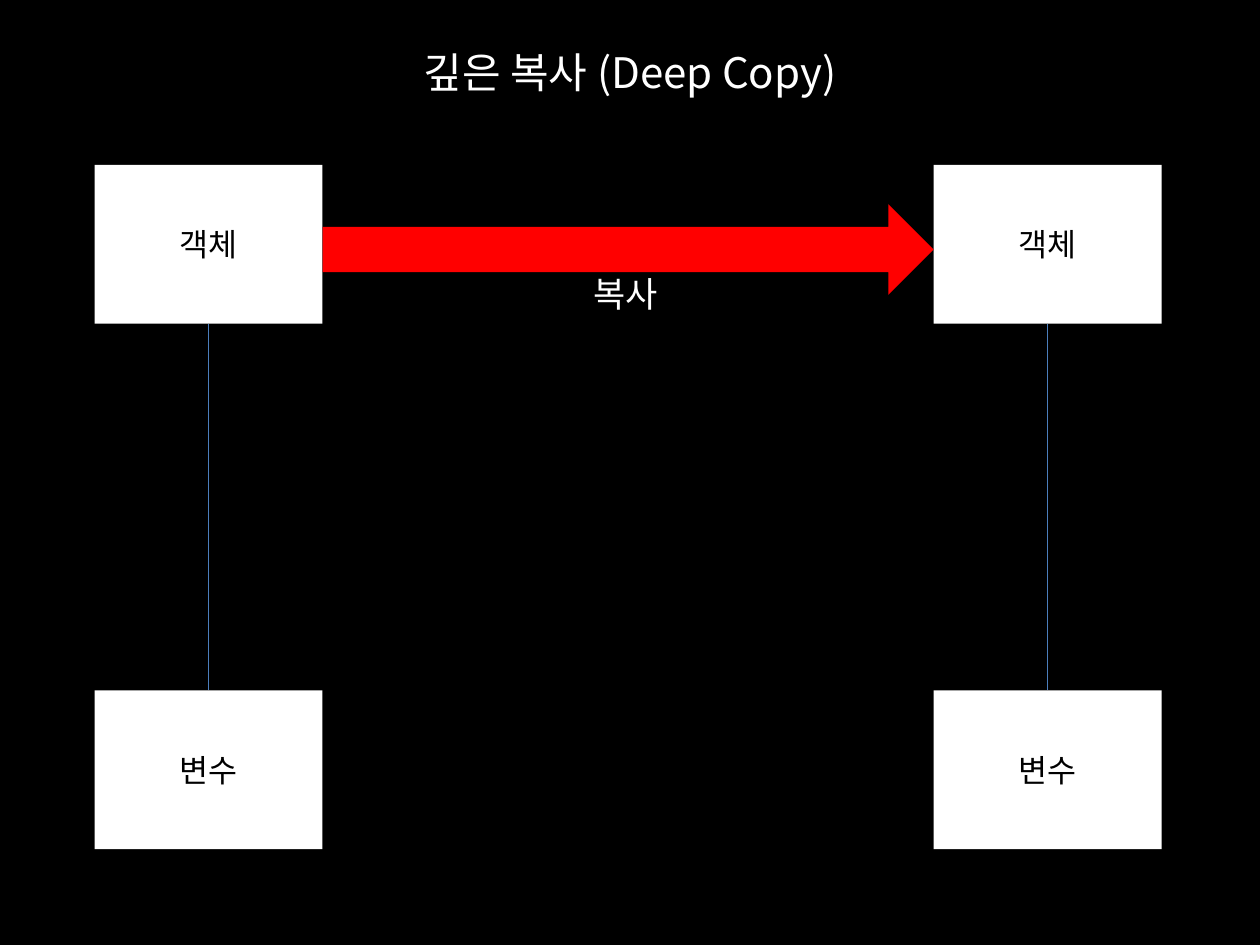
from lxml import etree
from pptx import Presentation
from pptx.dml.color import RGBColor
from pptx.enum.shapes import MSO_CONNECTOR, MSO_SHAPE
from pptx.enum.text import MSO_ANCHOR, PP_ALIGN
from pptx.oxml.ns import qn
from pptx.util import Inches, Pt

RECTANGLE, RIGHT_ARROW = MSO_SHAPE.RECTANGLE, MSO_SHAPE.RIGHT_ARROW
STRAIGHT = MSO_CONNECTOR.STRAIGHT
CENTER, LEFT = PP_ALIGN.CENTER, PP_ALIGN.LEFT
TOP, MIDDLE = MSO_ANCHOR.TOP, MSO_ANCHOR.MIDDLE
BOTTOM_SIDE, TOP_SIDE = 2, 0

TITLE = "깊은 복사 (Deep Copy)"
COPY_LABEL = "복사"
OBJECT, VARIABLE = "객체", "변수"

THEME = {
    "background": "000000", "box": "FFFFFF", "arrow": "FF0000", "link": "4B7EBC",
    "light_text": "FFFFFF", "dark_text": "000000",
    "font": "Noto Sans CJK KR", "label_font": "DejaVu Sans Mono",
    "title_size": 24, "box_size": 18, "label_size": 20, "link_width": 0.75,
}

SLIDE_W, SLIDE_H = 10, 7.5
BOX_W, BOX_H = 1.81, 1.26
SOURCE_X, COPY_X = 0.75, 7.41
OBJECT_Y, VARIABLE_Y = 1.31, 5.48
ARROW_Y, ARROW_H = 1.62, 0.72


def color(name):
    return RGBColor.from_string(THEME[name])


def write(frame, text, size, ink, font="font", align=CENTER, anchor=MIDDLE):
    frame.word_wrap = True
    frame.vertical_anchor = anchor
    paragraph = frame.paragraphs[0]
    paragraph.alignment = align
    run = paragraph.add_run()
    run.text = text
    run.font.size = Pt(THEME[size])
    run.font.color.rgb = color(ink)
    run.font.name = THEME[font]
    # Hangul takes its typeface from the East Asian font
    east_asian = etree.SubElement(run.font._element, qn("a:ea"))
    east_asian.set("typeface", THEME[font])
    return paragraph


def add_filled(slide, preset, x, y, w, h, fill):
    shape = slide.shapes.add_shape(preset, Inches(x), Inches(y), Inches(w), Inches(h))
    shape.shadow.inherit = False
    shape.fill.solid()
    shape.fill.fore_color.rgb = color(fill)
    shape.line.fill.background()
    return shape


def add_box(slide, text, x, y):
    box = add_filled(slide, RECTANGLE, x, y, BOX_W, BOX_H, "box")
    write(box.text_frame, text, "box_size", "dark_text")
    return box


def add_link(slide, upper, lower):
    link = slide.shapes.add_connector(STRAIGHT, 0, 0, 0, 0)
    link.begin_connect(upper, BOTTOM_SIDE)
    link.end_connect(lower, TOP_SIDE)
    link.line.color.rgb = color("link")
    link.line.width = Pt(THEME["link_width"])
    etree.SubElement(link._element.spPr, qn("a:effectLst"))


def add_text(slide, x, y, w, h):
    return slide.shapes.add_textbox(Inches(x), Inches(y), Inches(w), Inches(h)).text_frame


def main():
    deck = Presentation()
    deck.slide_width, deck.slide_height = Inches(SLIDE_W), Inches(SLIDE_H)
    slide = deck.slides.add_slide(deck.slide_layouts[6])

    add_filled(slide, RECTANGLE, 0, 0, SLIDE_W, SLIDE_H, "background")
    write(add_text(slide, 0.5, 0.3, 9, 0.54), TITLE, "title_size", "light_text")

    for x in (SOURCE_X, COPY_X):
        object_box = add_box(slide, OBJECT, x, OBJECT_Y)
        variable_box = add_box(slide, VARIABLE, x, VARIABLE_Y)
        add_link(slide, object_box, variable_box)

    label = write(add_text(slide, 4.61, 2.11, 0.79, 0.46), COPY_LABEL,
                  "label_size", "light_text", "label_font", LEFT, TOP)
    label.space_before = Pt(0.2 * THEME["label_size"])

    arrow_x = SOURCE_X + BOX_W
    add_filled(slide, RIGHT_ARROW, arrow_x, ARROW_Y, COPY_X - arrow_x, ARROW_H, "arrow")

    deck.save("out.pptx")


if __name__ == "__main__":
    main()
